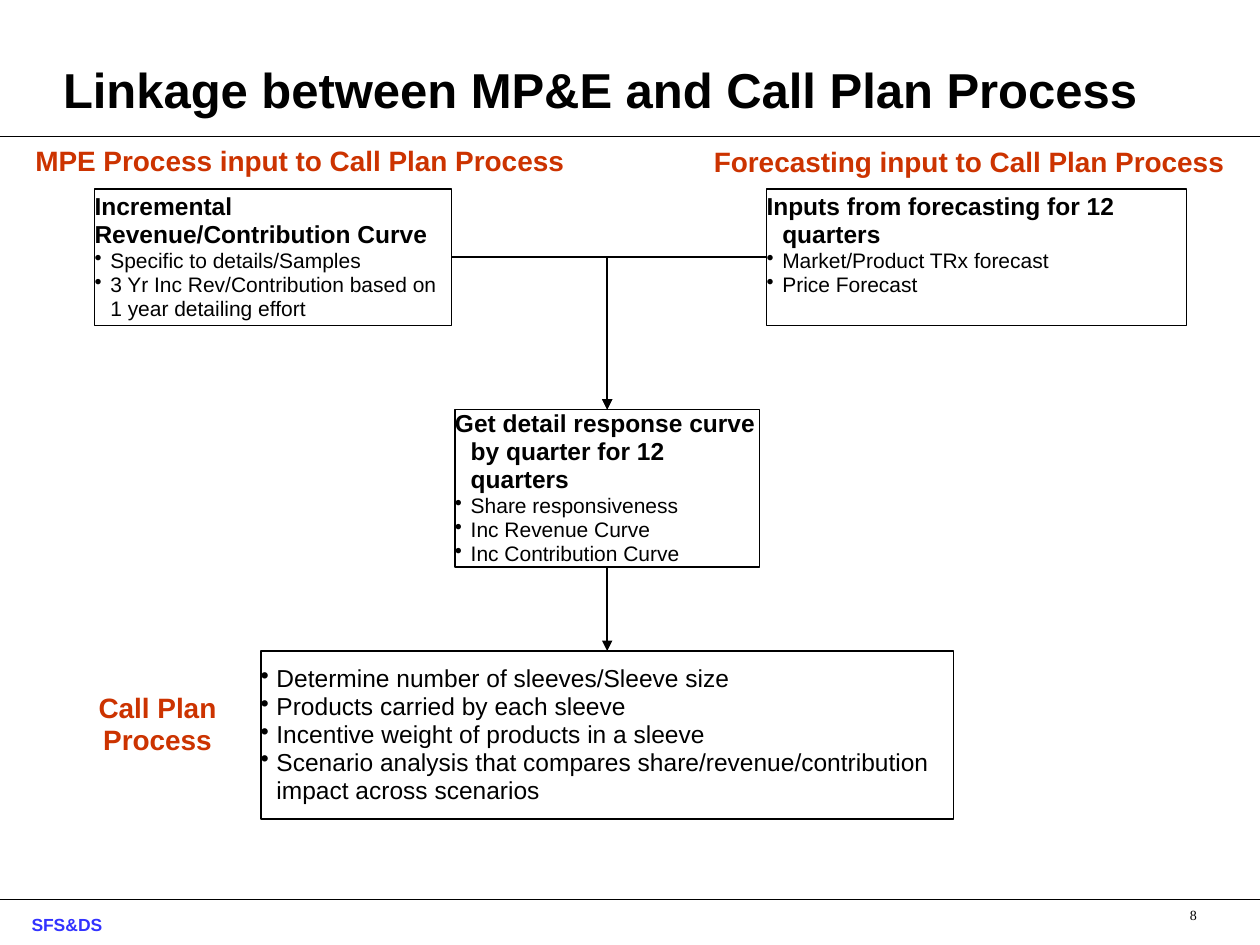
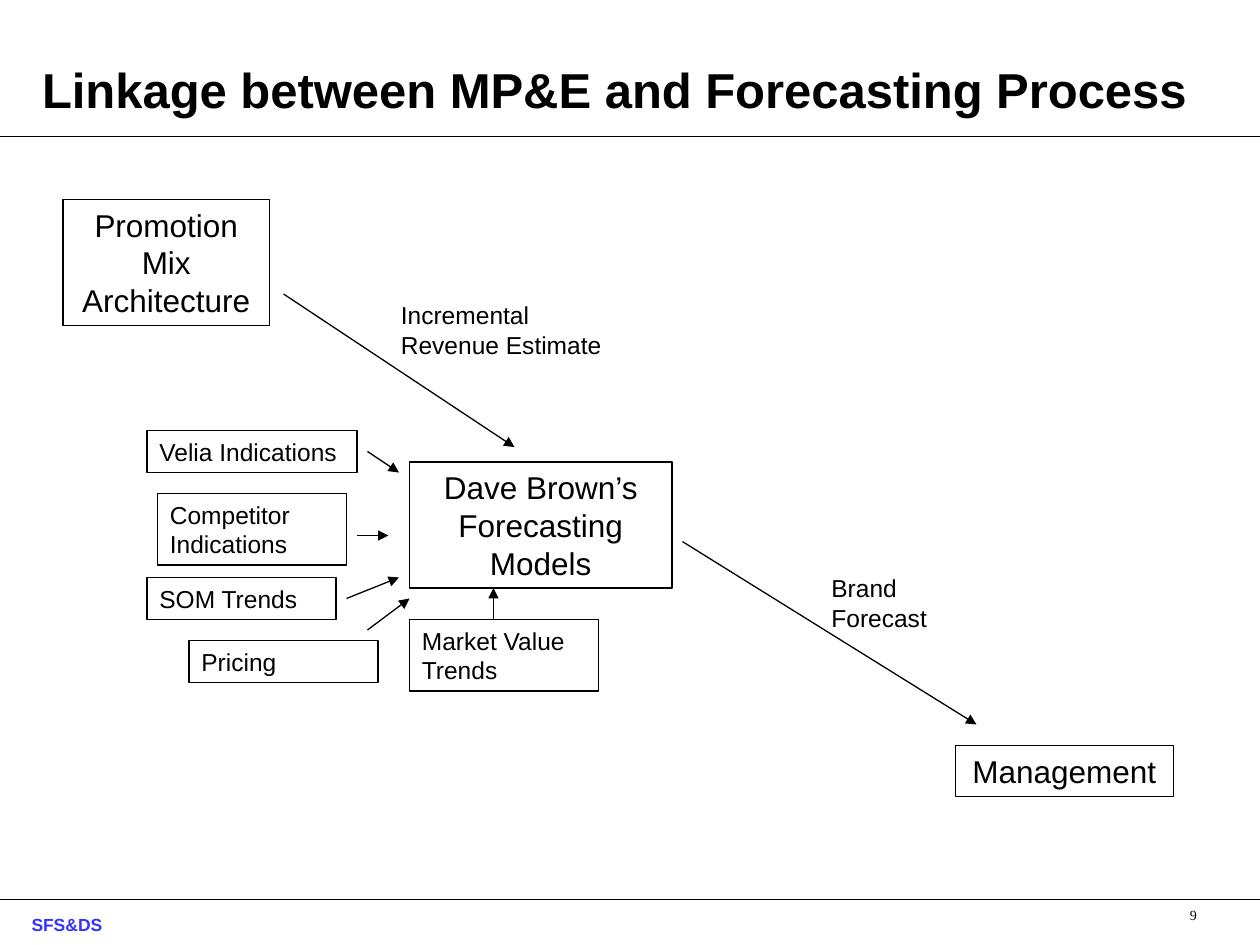
from pptx import Presentation
from pptx.dml.color import RGBColor
from pptx.enum import shapes, text
from pptx.oxml.ns import qn
from pptx.util import Pt

BLACK, RED, BLUE = "000000", "CC3300", "3333FF"
LEFT, CENTER, RIGHT = text.PP_ALIGN.LEFT, text.PP_ALIGN.CENTER, text.PP_ALIGN.RIGHT
TOP, MIDDLE, BOTTOM = text.MSO_ANCHOR.TOP, text.MSO_ANCHOR.MIDDLE, text.MSO_ANCHOR.BOTTOM
W, H = 720, 540
HANG = 9
NO_INSET = (0, 0, 0, 0)
INSET = (7.2, 3.6, 7.2, 3.6)


def style(size, color=BLACK, bold=False, name="Arial", align=LEFT,
          spacing=0.95, hang=False, bullet=False):
    return {"font": {"size": Pt(size), "bold": bold, "name": name}, "color": color,
            "para": {"alignment": align, "line_spacing": spacing, "space_before": Pt(0)},
            "hang": hang, "bullet": bullet}


STYLES = {
    "title": style(28, bold=True, spacing=Pt(41)),
    "footer": style(10, BLUE, True),
    "number": style(8, name="Times New Roman", align=RIGHT),
    "label": style(16, RED, True, align=CENTER),
    "head": style(14, bold=True, hang=True),
    "item": style(12, hang=True, bullet=True),
    "step": style(14, hang=True, bullet=True),
    "node": style(18, align=CENTER, spacing=1.0),
    "note": style(14, spacing=1.0),
}

CALL_TITLE = ("Linkage between MP&E and Call Plan Process", 36, 648)
CALL_BOXES = [
    ((54, 108, 204, 78), 0, [
        ("head", "Incremental"),
        ("head", "Revenue/Contribution Curve"),
        ("item", "Specific to details/Samples"),
        ("item", "3 Yr Inc Rev/Contribution based on 1 year detailing effort")]),
    ((260, 234, 174, 90), 0, [
        ("head", "Get detail response curve by quarter for 12 quarters"),
        ("item", "Share responsiveness"),
        ("item", "Inc Revenue Curve"),
        ("item", "Inc Contribution Curve")]),
    ((438, 108, 240, 78), 13.7, [
        ("head", "Inputs from forecasting for 12 quarters"),
        ("item", "Market/Product TRx forecast"),
        ("item", "Price Forecast")]),
    ((149, 372, 396, 96), 0, [
        ("step", "Determine number of sleeves/Sleeve size"),
        ("step", "Products carried by each sleeve"),
        ("step", "Incentive weight of products in a sleeve"),
        ("step", "Scenario analysis that compares share/revenue/contribution "
                 "impact across scenarios")]),
]
CALL_LABELS = [
    ((20.2, 83.5, 302.4, 18), False, "MPE Process input to Call Plan Process"),
    ((408, 84, 291.6, 18), False, "Forecasting input to Call Plan Process"),
    ((42, 396, 96, 36.5), True, "Call Plan Process"),
]

FORECAST_TITLE = ("Linkage between MP&E and Forecasting Process", 24, 708)
FORECAST_BOXES = [
    ("node", (36, 114, 118, 72), "Promotion Mix Architecture"),
    ("node", (234, 264, 150, 72), "Dave Brown’s Forecasting Models"),
    ("node", (546, 426, 124.5, 29), "Management"),
    ("note", (84, 330, 108, 24.2), "SOM Trends"),
    ("note", (108, 366, 108, 24.2), "Pricing"),
    ("note", (234, 354, 108, 41), "Market Value Trends"),
    ("note", (90, 282, 108, 41), "Competitor Indications"),
    ("note", (84, 246, 120, 24.2), "Velia Indications"),
]
FORECAST_NOTES = [
    ((222, 168, 138, 41), "Incremental Revenue Estimate"),
    ((468, 324, 84, 41), "Brand Forecast"),
]
FORECAST_ARROWS = [
    (162, 168, 294, 255.5), (390, 309.5, 558, 414), (210, 258, 228, 270),
    (204, 306, 222, 306), (198, 342, 228, 330), (210, 360, 234, 342),
    (282, 354, 282, 336),
]


def rgb(value):
    return RGBColor.from_string(value)


def assign(obj, values):
    for key, value in values.items():
        setattr(obj, key, value)


def write(sp, paragraphs, inset=NO_INSET, anchor=TOP, wrap=True):
    tf = sp.text_frame
    sides = ("margin_left", "margin_top", "margin_right", "margin_bottom")
    assign(tf, {side: Pt(v) for side, v in zip(sides, inset)})
    assign(tf, {"word_wrap": wrap, "vertical_anchor": anchor,
                "auto_size": text.MSO_AUTO_SIZE.NONE})
    for i, (kind, words) in enumerate(paragraphs):
        p = tf.add_paragraph() if i else tf.paragraphs[0]
        look = STYLES[kind]
        assign(p, look["para"])
        pPr = p._p.get_or_add_pPr()
        if look["hang"]:
            pPr.set("marL", str(Pt(HANG)))
            pPr.set("indent", str(-Pt(HANG)))
        if look["bullet"]:
            bullet = pPr.makeelement(qn("a:buChar"), {"char": "•"})
            pPr.append(bullet)
        r = p.add_run()
        r.text = words
        assign(r.font, look["font"])
        r.font.color.rgb = rgb(look["color"])


def add_text(s, at, kind, words, **layout):
    write(s.shapes.add_textbox(*map(Pt, at)), [(kind, words)], **layout)


def add_box(s, at, paragraphs, weight, **layout):
    sp = s.shapes.add_shape(shapes.MSO_SHAPE.RECTANGLE, *map(Pt, at))
    sp.shadow.inherit = False
    sp.fill.background()
    sp.line.color.rgb = rgb(BLACK)
    sp.line.width = Pt(weight)
    write(sp, paragraphs, **layout)


def add_line(s, ends, weight=1, arrow=True, bent=False):
    kind = shapes.MSO_CONNECTOR.ELBOW if bent else shapes.MSO_CONNECTOR.STRAIGHT
    cxn = s.shapes.add_connector(kind, *map(Pt, ends))
    cxn.line.color.rgb = rgb(BLACK)
    cxn.line.width = Pt(weight)
    spPr = cxn.element.spPr
    if bent:
        spPr.find(qn("a:prstGeom")).set("prst", "bentConnector2")
    if arrow:
        ln = spPr.find(qn("a:ln"))
        ln.append(ln.makeelement(qn("a:tailEnd"), {"type": "triangle"}))
    spPr.append(spPr.makeelement(qn("a:effectLst"), {}))


def add_slide(prs, heading, number):
    s = prs.slides.add_slide(prs.slide_layouts[5])
    for y in (514, 78):
        add_line(s, (0, y, W, y), arrow=False)
    add_text(s, (18, 523, 228, 17), "footer", "SFS&DS")
    words, left, width = heading
    title = s.shapes.title
    assign(title, {"left": Pt(left), "top": Pt(18), "width": Pt(width), "height": Pt(54)})
    write(title, [("title", words)], inset=(0, 0, 0, 4.5), anchor=BOTTOM)
    add_text(s, (632, 518.5, 52, 20), "number", str(number))
    return s


def call_plan_slide(prs):
    s = add_slide(prs, CALL_TITLE, 8)
    for at, bottom, paragraphs in CALL_BOXES:
        add_box(s, at, paragraphs, 1, inset=(0, 0, 0, bottom), anchor=MIDDLE)
    for at, wrap, words in CALL_LABELS:
        add_text(s, at, "label", words, wrap=wrap)
    curve, response, forecast, plan = [at for at, _, _ in CALL_BOXES]
    axis = response[0] + response[2] / 2
    middle = curve[1] + curve[3] / 2
    for side in (curve[0] + curve[2], forecast[0]):
        add_line(s, (side, middle, axis, response[1]), bent=True)
    add_line(s, (axis, response[1] + response[3], axis, plan[1]))


def forecasting_slide(prs):
    s = add_slide(prs, FORECAST_TITLE, 9)
    for kind, at, words in FORECAST_BOXES:
        add_box(s, at, [(kind, words)], 0.75, inset=INSET)
    for at, words in FORECAST_NOTES:
        add_text(s, at, "note", words, inset=INSET)
    for ends in FORECAST_ARROWS:
        add_line(s, ends, 0.75)


def main():
    prs = Presentation()
    prs.slide_width, prs.slide_height = Pt(W), Pt(H)
    call_plan_slide(prs)
    forecasting_slide(prs)
    prs.save("out.pptx")


if __name__ == "__main__":
    main()
